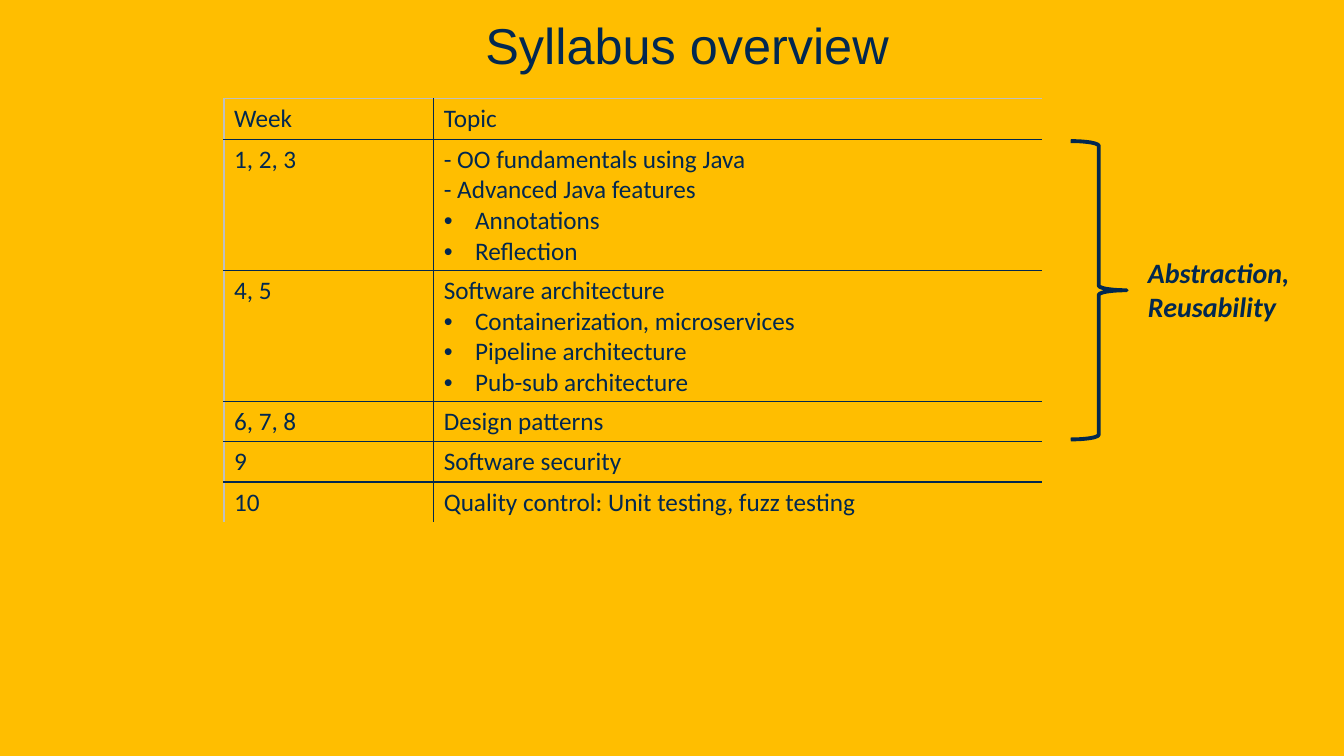
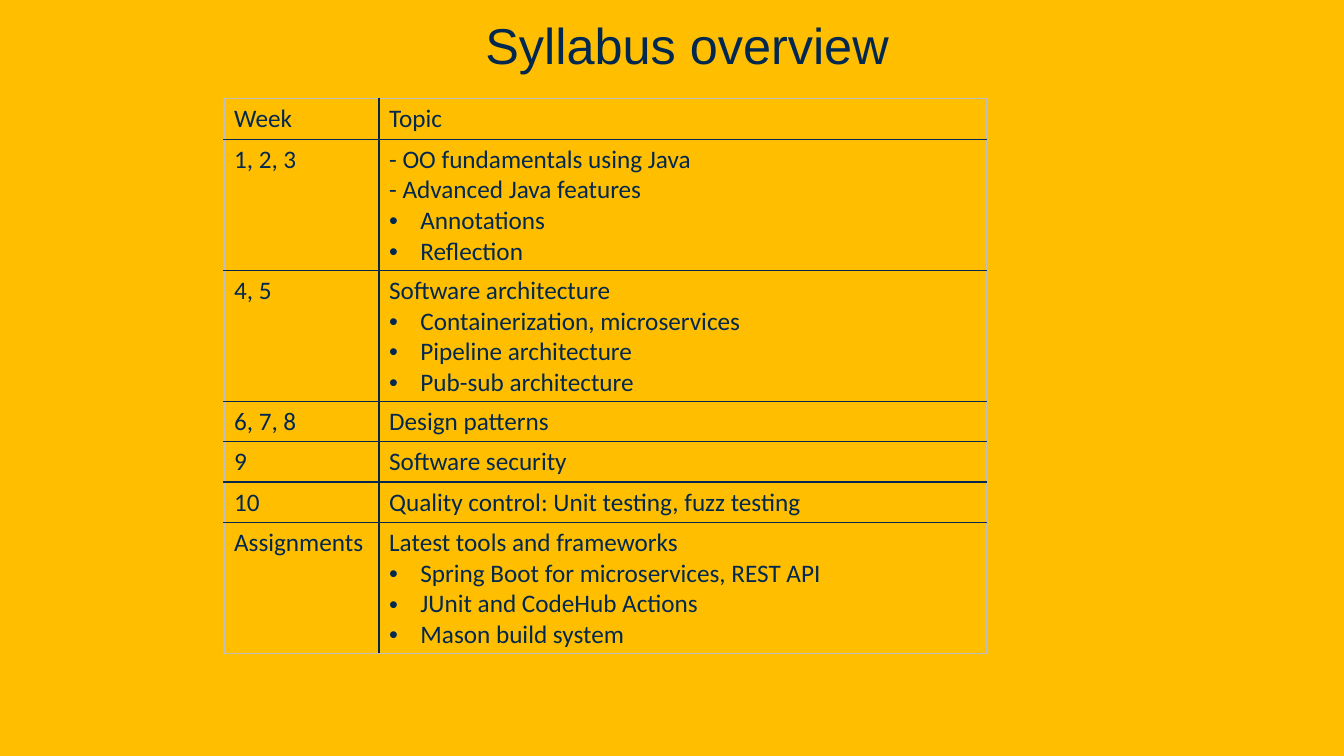
from lxml import etree
from pptx import Presentation
from pptx import util as u
from pptx.dml.color import RGBColor
from pptx.enum import shapes, text
from pptx.oxml import ns

COLORS = {"gold": "FFBE00", "navy": "022850", "edge": "BFBFBF"}
FONTS = {
    "title": {"name": "Arial", "size": u.Pt(36)},
    "body": {"name": "Calibri", "size": u.Pt(18)},
    "label": {"name": "Calibri", "size": u.Pt(20), "bold": True, "italic": True},
}
BULLET = "•"
SYLLABUS = [
    ("Week", ["Topic"]),
    ("1, 2, 3", ["- OO fundamentals using Java", "- Advanced Java features",
                 "•Annotations", "•Reflection"]),
    ("4, 5", ["Software architecture", "•Containerization, microservices",
              "•Pipeline architecture", "•Pub-sub architecture"]),
    ("6, 7, 8", ["Design patterns"]),
    ("9", ["Software security"]),
    ("10", ["Quality control: Unit testing, fuzz testing"]),
]
ASSIGNMENTS = ("Assignments", ["Latest tools and frameworks",
                               "•Spring Boot for microservices, REST API",
                               "•JUnit and CodeHub Actions",
                               "•Mason build system"])


def assign(target, values):
    for key, value in values.items():
        setattr(target, key, value)


def add_xml(parent, tag, **attributes):
    return etree.SubElement(parent, ns.qn(tag), attributes)


class Deck:
    COLUMNS, ROWS = 120, 75

    def __init__(self):
        self.show = Presentation()
        assign(self.show, {"slide_width": u.Inches(13.33),
                           "slide_height": u.Inches(7.5)})
        self.slide = None

    def x(self, columns):
        return round(self.show.slide_width * columns / self.COLUMNS)

    def y(self, rows):
        return round(self.show.slide_height * rows / self.ROWS)

    def box(self, left, top, width, height):
        return self.x(left), self.y(top), self.x(width), self.y(height)

    def color(self, name):
        return RGBColor.from_string(COLORS[name])

    def new_slide(self, heading):
        self.slide = self.show.slides.add_slide(self.show.slide_layouts[6])
        backdrop = self.slide.background.fill
        backdrop.solid()
        backdrop.fore_color.rgb = self.color("gold")
        frame = self.textbox((0, 0, 120, 7.6), [heading], "title", {
            "word_wrap": True, "vertical_anchor": text.MSO_ANCHOR.BOTTOM,
            "margin_bottom": u.Inches(0.02)})
        paragraph = frame.paragraphs[0]
        paragraph.alignment = text.PP_ALIGN.CENTER
        paragraph._p.get_or_add_pPr().set("marL", str(u.Inches(0.3)))

    def fill_text(self, frame, lines, style):
        for index, line in enumerate(lines):
            paragraph = frame.add_paragraph() if index else frame.paragraphs[0]
            run = paragraph.add_run()
            run.text = line.removeprefix(BULLET)
            assign(run.font, FONTS[style])
            run.font.color.rgb = self.color("navy")
            if line.startswith(BULLET):
                properties = paragraph._p.get_or_add_pPr()
                indent = u.Inches(0.31)
                properties.set("marL", str(indent))
                properties.set("indent", str(-indent))
                add_xml(properties, "a:buFont", typeface="Arial")
                add_xml(properties, "a:buChar", char=BULLET)

    def textbox(self, place, lines, style, layout):
        frame = self.slide.shapes.add_textbox(*self.box(*place)).text_frame
        assign(frame, layout)
        self.fill_text(frame, lines, style)
        return frame

    def border(self, cell, sides):
        properties = cell._tc.get_or_add_tcPr()
        for position, (side, name) in enumerate(sides.items()):
            line = etree.Element(ns.qn(f"a:ln{side}"), w=str(u.Pt(1)))
            if name:
                fill = add_xml(line, "a:solidFill")
                add_xml(fill, "a:srgbClr", val=COLORS[name])
            else:
                add_xml(line, "a:noFill")
            properties.insert(position, line)

    def table(self, left, top, widths, entries, closing_edge):
        heights = [1 + 3 * len(topics) for _, topics in entries]
        place = self.box(left, top, sum(widths), sum(heights))
        grid = self.slide.shapes.add_table(len(entries), len(widths), *place).table
        assign(grid, {"first_row": False, "horz_banding": False})
        for column, width in zip(grid.columns, widths):
            column.width = self.x(width)
        last_row, last_column = len(entries) - 1, len(widths) - 1
        for row, (week, topics) in enumerate(entries):
            grid.rows[row].height = self.y(heights[row])
            for column, lines in enumerate(([week], topics)):
                cell = grid.cell(row, column)
                cell.fill.background()
                self.fill_text(cell.text_frame, lines, "body")
                self.border(cell, {
                    "L": "navy" if column else "edge",
                    "R": "navy" if column < last_column else closing_edge,
                    "T": "navy" if row else "edge",
                    "B": "navy" if row < last_row else closing_edge,
                })

    def brace(self, *place):
        outline = self.slide.shapes.add_shape(
            shapes.MSO_SHAPE.RIGHT_BRACE, *self.box(*place))
        outline.shadow.inherit = False
        outline.fill.background()
        outline.line.color.rgb = self.color("navy")
        outline.line.width = u.Pt(2.75)


def main():
    deck = Deck()
    heading = "Syllabus overview"
    table_left, table_top, topic_width = 20, 9.8, 54.27

    deck.new_slide(heading)
    deck.table(table_left, table_top, (18.73, topic_width), SYLLABUS, None)
    deck.brace(95.6, 14, 5, 29.6)
    deck.textbox((101.6, 24.9, 14.5, 7.7), ["Abstraction,", "Reusability"],
                 "label", {"word_wrap": False})

    deck.new_slide(heading)
    deck.table(table_left, table_top, (13.85, topic_width),
               SYLLABUS + [ASSIGNMENTS], "edge")

    deck.show.save("out.pptx")


if __name__ == "__main__":
    main()
